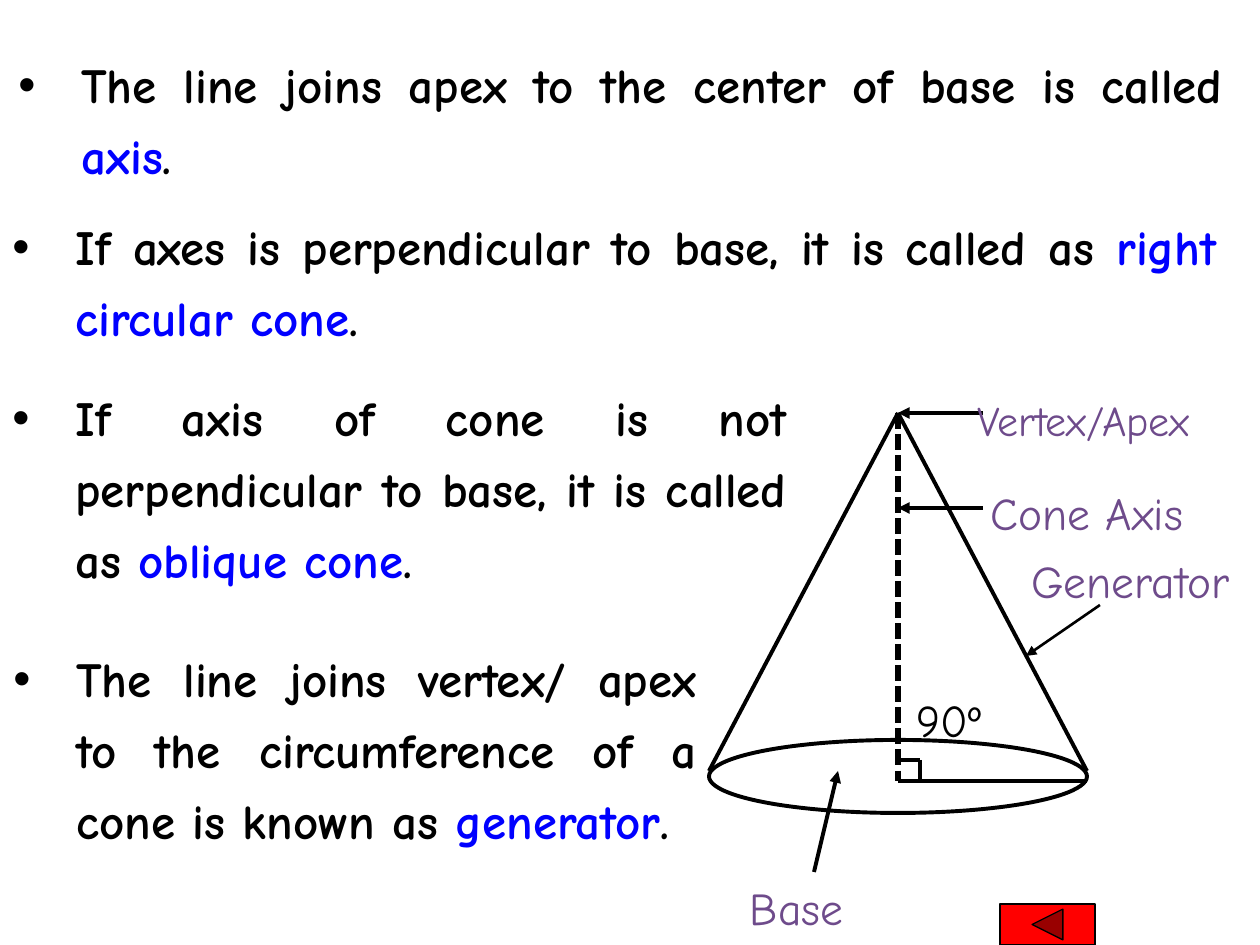
"""Builds the slide on the axis, base and generator of a cone."""
from lxml.etree import SubElement as Sub
from pptx import Presentation
from pptx.dml.color import RGBColor as Rgb
from pptx.enum.dml import MSO_LINE as Dash
from pptx.enum.shapes import MSO_CONNECTOR as Conn, MSO_SHAPE as Kind
from pptx.enum.text import MSO_AUTO_SIZE as Fit, PP_ALIGN as Align
from pptx.oxml.ns import qn
from pptx.util import Pt

PX = 914400 / 126
HUES = {"ink": "000000", "key": "0000FF", "label": "6E4B8B", "button": "FF0000"}
FONT = "Comic Neue"


def emu(*nums):
    return [round(n * PX) for n in nums]


def write(text, box, size=26, hue="label", align=Align.CENTER, gap=1.3,
          bold=False, bullet=False):
    """Adds a text box; words between bars take the key colour."""
    frame = slide.shapes.add_textbox(*emu(*box)).text_frame
    frame.word_wrap = True
    frame.auto_size = Fit.SHAPE_TO_FIT_TEXT
    para = frame.paragraphs[0]
    para.alignment = align
    para.line_spacing = gap
    para.space_before = Pt(0)
    props = para._p.get_or_add_pPr()
    space = props.find(qn("a:spcBef"))
    space.remove(space[0])
    Sub(space, qn("a:spcPct"), val="50000")
    if bullet:
        props.set("marL", "457200")
        props.set("indent", "-457200")
        Sub(props, qn("a:buFont"), typeface="Arial")
        Sub(props, qn("a:buChar"), char="•")
    for num, part in enumerate(text.split("|")):
        run = para.add_run()
        run.text = part
        font = run.font
        font.name, font.size, font.bold = FONT, Pt(size), bold
        font.color.rgb = Rgb.from_string(HUES["key" if num % 2 else hue])


deck = Presentation()
deck.slide_width, deck.slide_height = emu(1260, 945)
slide = deck.slides.add_slide(deck.slide_layouts[6])

points = [
    ("The line joins apex to the center of base is called |axis|.",
     (6, 37, 1229, 154)),
    ("If axes is perpendicular to base, it is called as |right circular cone|.",
     (0, 199, 1229, 154)),
    ("If axis of cone is not perpendicular to base, it is called as "
     "|oblique cone|.", (0, 370, 799, 224)),
    ("The line joins vertex/ apex to the circumference of a cone is known as "
     "|generator|.", (1, 631, 708, 295)),
]
for text, box in points:
    write(text, box, size=28, hue="ink", align=Align.JUSTIFY, gap=1.2,
          bold=True, bullet=True)

apex, foot, right, left = (898, 413), (898, 781), 1087, 709
shapes = [
    (Kind.OVAL, (left, 740, right - left, 73), None, 2.25),
    (Kind.ACTION_BUTTON_BACK_OR_PREVIOUS, (1000, 904, 95, 41), "button", 0.75),
]
for kind, box, fill, width in shapes:
    shape = slide.shapes.add_shape(kind, *emu(*box))
    shape.shadow.inherit = False
    if fill:
        shape.fill.solid()
        shape.fill.fore_color.rgb = Rgb.from_string(HUES[fill])
    else:
        shape.fill.background()
    shape.line.color.rgb = Rgb.from_string(HUES["ink"])
    shape.line.width = Pt(width)

lines = [
    (apex, (right, 771), 2.25, ""),
    (apex, (left, 771), 2.25, ""),
    (apex, foot, 3, "dots"),
    (foot, (right, 781), 2.25, ""),
    ((898, 760), (920, 760), 2.25, ""),
    ((920, 760), (920, 781), 2.25, ""),
    ((983, 413), apex, 2.25, "arrow"),
    ((983, 508), (898, 508), 2.25, "arrow"),
    ((1100, 605), (1026, 656), 1.5, "arrow"),
    ((814, 872), (838, 771), 2.25, "arrow"),
]
for start, end, width, style in lines:
    link = slide.shapes.add_connector(Conn.STRAIGHT, *emu(*start, *end))
    link.line.color.rgb = Rgb.from_string(HUES["ink"])
    link.line.width = Pt(width)
    if style == "dots":
        link.line.dash_style = Dash.SQUARE_DOT
    if style == "arrow":
        Sub(link.line._get_or_add_ln(), qn("a:tailEnd"), type="triangle")
    Sub(link._element.spPr, qn("a:effectLst"))

write("Vertex/Apex", (965, 373, 299, 78), size=24, align=Align.JUSTIFY)
write("Cone Axis", (958, 462, 258, 83))
write("Generator", (1019, 530, 243, 83), align=Align.JUSTIFY)
write("90º", (896, 669, 105, 83), hue="ink")
write("Base", (709, 857, 175, 83))

deck.save("out.pptx")
